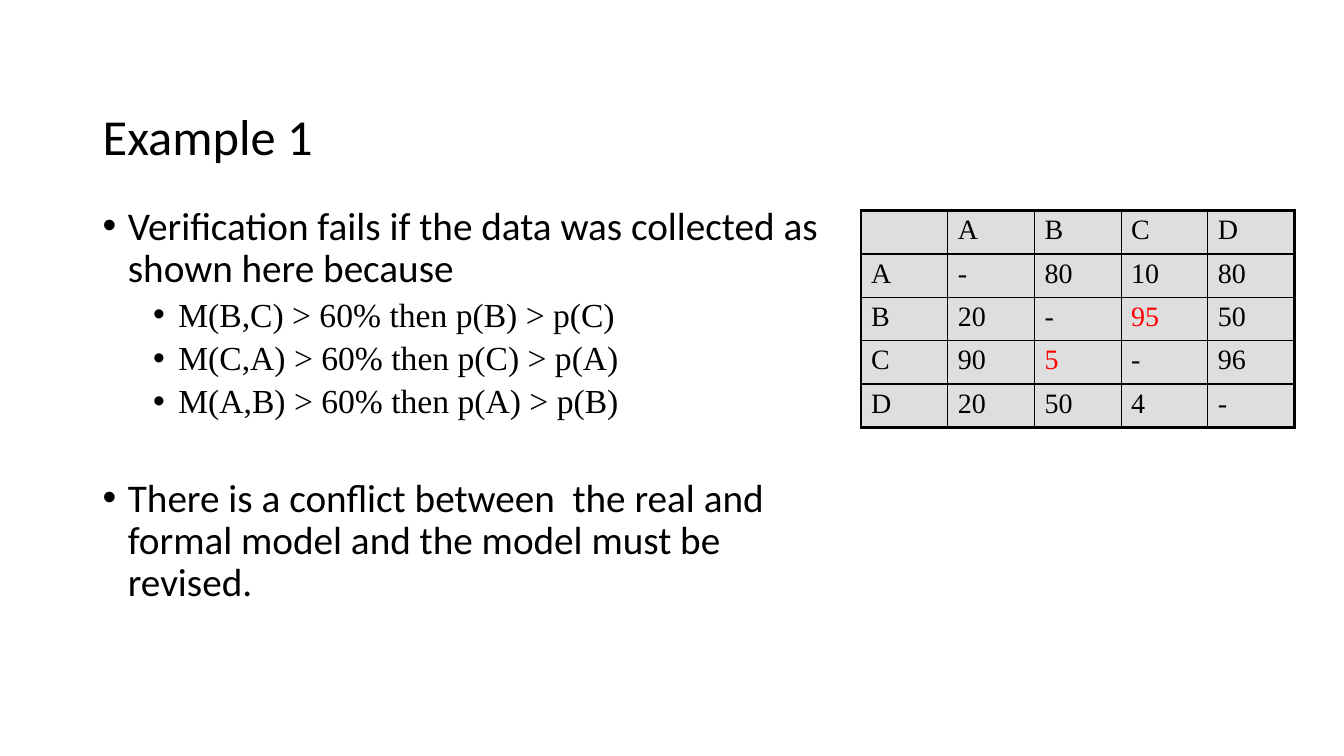
from lxml.etree import SubElement
from pptx import Presentation
from pptx.dml.color import RGBColor
from pptx.enum.text import MSO_ANCHOR
from pptx.oxml.ns import qn
from pptx.util import Inches, Pt

BLACK = RGBColor(0x00, 0x00, 0x00)
RED = RGBColor(0xFF, 0x00, 0x00)
GREY = RGBColor(0xDE, 0xDE, 0xDE)
SANS = "Calibri"
SERIF = "Times New Roman"

POINT = {"size": 28, "font": SANS, "indent": 0.25, "level": 0}
CONDITION = {"size": 24, "font": SERIF, "indent": 0.75, "level": 1, "before": 5}
BULLETS = [
    ("Verification fails if the data was collected as shown here because", POINT),
    ("M(B,C) > 60% then p(B) > p(C)", CONDITION),
    ("M(C,A) > 60% then p(C) > p(A)", CONDITION),
    ("M(A,B) > 60% then p(A) > p(B)", CONDITION),
    ("There is a conflict between  the real and formal model and the model "
     "must be  revised.", {**POINT, "before": 41}),
]
PREFERENCES = [
    ["", "A", "B", "C", "D"],
    ["A", "-", "80", "10", "80"],
    ["B", "20", "-", "95", "50"],
    ["C", "90", "5", "-", "96"],
    ["D", "20", "50", "4", "-"],
]
CONFLICTS = {(2, 3), (3, 2)}


def apply(target, values):
    for name, value in values.items():
        setattr(target, name, value)


class SlideBuilder:
    def __init__(self, page):
        self.page = page
        self.spacing = 0.9
        self.inner_line = 1
        self.outer_line = 2.25

    def add_span(self, para, text, size, font, color=BLACK):
        span = para.add_run()
        span.text = text
        apply(span.font, {"size": Pt(size), "name": font})
        span.font.color.rgb = color

    def text_frame(self, left, top, width, height, anchor):
        box = self.page.shapes.add_textbox(*map(Inches, (left, top, width, height)))
        apply(box.text_frame, {"word_wrap": True, "vertical_anchor": anchor})
        return box.text_frame

    def title(self, text, area):
        para = self.text_frame(*area, MSO_ANCHOR.MIDDLE).paragraphs[0]
        para.line_spacing = self.spacing
        self.add_span(para, text, 36, SANS)

    def bullet_list(self, items, area):
        frame = self.text_frame(*area, MSO_ANCHOR.TOP)
        for number, (text, style) in enumerate(items):
            para = frame.add_paragraph() if number else frame.paragraphs[0]
            apply(para, {"level": style["level"], "line_spacing": self.spacing,
                         "space_before": Pt(style.get("before", 0))})
            self.add_bullet(para, style["indent"])
            self.add_span(para, text, style["size"], style["font"])

    def add_bullet(self, para, indent):
        properties = para._p.get_or_add_pPr()
        properties.set("marL", str(Inches(indent)))
        properties.set("indent", str(Inches(-0.25)))
        SubElement(properties, qn("a:buFont"), typeface="Arial")
        SubElement(properties, qn("a:buChar"), char="•")

    def table(self, rows, highlighted, left, top, column_width, row_height):
        height, width = len(rows), len(rows[0])
        grid = self.page.shapes.add_table(
            height, width, Inches(left), Inches(top),
            Inches(column_width * width), Inches(row_height * height)).table
        apply(grid, {"first_row": False, "horz_banding": False})
        for column in grid.columns:
            column.width = Inches(column_width)
        for r, row in enumerate(rows):
            grid.rows[r].height = Inches(row_height)
            for c, text in enumerate(row):
                cell = grid.cell(r, c)
                apply(cell, {"margin_left": Inches(0.1), "margin_right": 0,
                             "margin_top": Inches(0.04), "margin_bottom": 0})
                self.add_borders(cell, {"lnL": c == 0, "lnR": c == width - 1,
                                        "lnT": r == 0, "lnB": r == height - 1})
                cell.fill.solid()
                cell.fill.fore_color.rgb = GREY
                color = RED if (r, c) in highlighted else BLACK
                self.add_span(cell.text_frame.paragraphs[0], text, 20, SERIF, color)

    def add_borders(self, cell, sides):
        """Draw every side, thicker where the side lies on the table's edge."""
        properties = cell._tc.get_or_add_tcPr()
        for tag, on_edge in sides.items():
            weight = Pt(self.outer_line if on_edge else self.inner_line)
            line = SubElement(properties, qn(f"a:{tag}"), w=str(weight))
            fill = SubElement(line, qn("a:solidFill"))
            SubElement(fill, qn("a:srgbClr"), val=str(BLACK))


def main():
    deck = Presentation()
    apply(deck, {"slide_width": Inches(13.33), "slide_height": Inches(7.5)})
    builder = SlideBuilder(deck.slides.add_slide(deck.slide_layouts[6]))
    builder.title("Example 1", (0.92, 0.91, 11.5, 0.94))
    builder.bullet_list(BULLETS, (0.92, 2, 7.65, 5.09))
    builder.table(PREFERENCES, CONFLICTS, 8.54, 2.09, 0.86, 0.43)
    deck.save("out.pptx")


if __name__ == "__main__":
    main()
